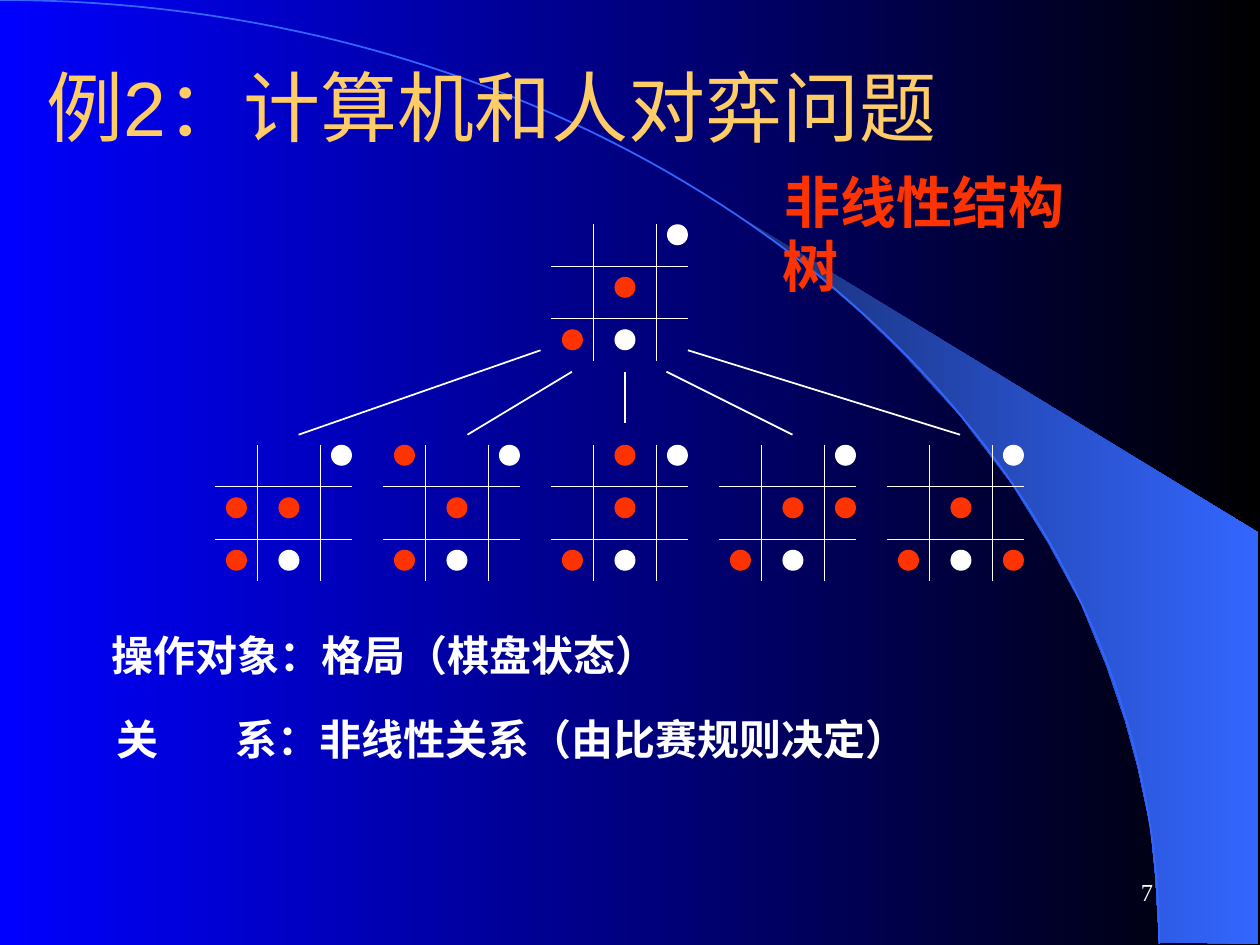
from lxml import etree
from pptx import Presentation
from pptx.dml.color import RGBColor
from pptx.enum import shapes, text
from pptx.oxml import ns
from pptx.util import Inches, Pt

WHITE = RGBColor(0xFF, 0xFF, 0xFF)
RED = RGBColor(0xFF, 0x33, 0x00)
GOLD = RGBColor(0xFF, 0xCC, 0x66)
BLUE = RGBColor(0x00, 0x00, 0xFF)
BLACK = RGBColor(0x00, 0x00, 0x00)
NAVY = RGBColor(0x18, 0x2F, 0x76)
SKY = RGBColor(0x33, 0x66, 0xFF)

CJK = "Noto Sans CJK SC"
SERIF = "Times New Roman"
UNIT = 1 / 12
BOARD_PITCH = 16 * UNIT
CHILD_LEFT, CHILD_TOP = 1.71, 3.53
ROOT_LEFT, ROOT_TOP = CHILD_LEFT + 2 * BOARD_PITCH, 1.78

START_PIECES = [(1, 1, RED), (0, 2, RED), (1, 2, WHITE), (2, 0, WHITE)]
NEXT_MOVES = [(0, 1), (0, 0), (1, 0), (2, 1), (2, 2)]
BRANCHES = [
    (4.29, 2.78, 2.37, 3.45),
    (4.54, 2.95, 3.71, 3.45),
    (4.96, 2.95, 4.96, 3.36),
    (5.29, 2.95, 6.29, 3.45),
    (5.46, 2.78, 7.62, 3.45),
]
BEAM = [
    (9.2, 7.48), (9.99, 7.49), (9.99, 4.23), (5.89, 1.73), (6.24, 1.99),
    (6.53, 2.22), (6.85, 2.5), (7.16, 2.8), (7.62, 3.3), (8.03, 3.84),
    (8.32, 4.31), (8.58, 4.79), (8.78, 5.28), (8.93, 5.72), (9.03, 6.09),
    (9.13, 6.56), (9.17, 6.96),
]
ARC_CONTROLS = [(0, 0), (5.08, 0), (9.2, 3.35), (9.2, 7.49)]
ARC_STEPS = 80


def set_gradient(fill, start, end):
    """Apply a left-to-right gradient."""
    fill.gradient()
    fill.gradient_angle = 0
    for stop, color, position in zip(fill.gradient_stops, (start, end), (0, 1)):
        stop.color.rgb = color
        stop.position = position


def add_outline(parent, points, close):
    """Build a shadowless freeform through points given in inches."""
    corners = [(Inches(x), Inches(y)) for x, y in points]
    builder = parent.build_freeform(*corners[0])
    builder.add_line_segments(corners[1:], close=close)
    outline = builder.convert_to_shape()
    outline.shadow.inherit = False
    return outline


def curve_point(t):
    """Return the point at t on the cubic arc."""
    weights = ((1 - t) ** 3, 3 * t * (1 - t) ** 2, 3 * t * t * (1 - t), t ** 3)
    return tuple(
        sum(w * control[axis] for w, control in zip(weights, ARC_CONTROLS))
        for axis in (0, 1)
    )


def add_backdrop(slide):
    """Draw the background gradient, the beam and the arc."""
    set_gradient(slide.background.fill, BLUE, BLACK)
    scenery = slide.shapes.add_group_shape().shapes
    beam = add_outline(scenery, BEAM, True)
    set_gradient(beam.fill, NAVY, SKY)
    beam.line.fill.background()
    arc_points = [curve_point(i / ARC_STEPS) for i in range(ARC_STEPS + 1)]
    arc = add_outline(scenery, arc_points, False)
    arc.fill.background()
    arc.line.color.rgb = SKY
    arc.line.width = Pt(1)


def add_line(parent, x1, y1, x2, y2, width):
    """Add a straight white line."""
    line = parent.add_connector(
        shapes.MSO_CONNECTOR.STRAIGHT, Inches(x1), Inches(y1), Inches(x2), Inches(y2)
    )
    line.line.color.rgb = WHITE
    line.line.width = Pt(width)
    etree.SubElement(line._element.spPr, ns.qn("a:effectLst"))


def add_piece(parent, x, y, color):
    """Add one round game piece."""
    size = Inches(2 * UNIT)
    piece = parent.add_shape(
        shapes.MSO_SHAPE.OVAL, Inches(x), Inches(y), size, size
    )
    piece.shadow.inherit = False
    piece.fill.solid()
    piece.fill.fore_color.rgb = color
    piece.line.fill.background()


def add_board(slide, left, top, pieces):
    """Add a three-by-three board with its pieces."""
    board = slide.shapes.add_group_shape().shapes
    side = 13 * UNIT
    for offset in (4, 9):
        y = top + offset * UNIT
        add_line(board, left, y, left + side, y, 0.75)
    for offset in (4, 10):
        x = left + offset * UNIT
        add_line(board, x, top, x, top + side, 0.75)
    for column, row, color in pieces:
        add_piece(board, left + (1 + 5 * column) * UNIT, top + 5 * row * UNIT, color)


def add_text(slide, box, wording, size, font, color, bold=False, wrap=False):
    """Add a one-line text box and return it."""
    label = slide.shapes.add_textbox(*map(Inches, box))
    frame = label.text_frame
    frame.word_wrap = wrap
    if wrap:
        frame.vertical_anchor = text.MSO_ANCHOR.MIDDLE
    else:
        frame.auto_size = text.MSO_AUTO_SIZE.SHAPE_TO_FIT_TEXT
    run = frame.paragraphs[0].add_run()
    run.text = wording
    run.font.size = Pt(size)
    run.font.name = font
    run.font.bold = bold
    run.font.color.rgb = color
    etree.SubElement(run.font._element, ns.qn("a:ea"), typeface=CJK)
    return label


def add_tab_stop(label, position):
    """Set a left tab stop on the label's paragraph."""
    properties = label.text_frame.paragraphs[0]._p.get_or_add_pPr()
    stops = etree.SubElement(properties, ns.qn("a:tabLst"))
    etree.SubElement(stops, ns.qn("a:tab"), pos=str(Inches(position)), algn="l")


def main():
    """Build the game tree slide."""
    deck = Presentation()
    deck.slide_width, deck.slide_height = Inches(10), Inches(7.5)
    slide = deck.slides.add_slide(deck.slide_layouts[6])
    add_backdrop(slide)

    page = add_text(slide, (7.17, 6.83, 2.08, 0.5), "7", 14, SERIF, WHITE, wrap=True)
    page.text_frame.paragraphs[0].alignment = text.PP_ALIGN.RIGHT
    add_text(slide, (0.27, 0.21, 8.5, 1.25), "例2：计算机和人对弈问题",
             44, "Arial", GOLD, wrap=True)

    add_board(slide, ROOT_LEFT, ROOT_TOP, START_PIECES)
    for index, move in enumerate(NEXT_MOVES):
        add_board(slide, CHILD_LEFT + index * BOARD_PITCH, CHILD_TOP,
                  START_PIECES + [(*move, RED)])
    for branch in BRANCHES:
        add_line(slide.shapes, *branch, 1)

    add_text(slide, (6.13, 1.28, 2.65, 0.64), "非线性结构", 32, CJK, RED, bold=True)
    add_text(slide, (6.11, 1.79, 0.86, 0.64), "树", 32, CJK, RED, bold=True)
    add_text(slide, (0.79, 4.95, 4.61, 0.5), "操作对象：格局（棋盘状态）",
             24, SERIF, WHITE, bold=True)
    relation = add_text(slide, (0.83, 5.61, 6.62, 0.5),
                        "关\t系：非线性关系（由比赛规则决定）", 24, SERIF, WHITE, bold=True)
    add_tab_stop(relation, 0.94)
    deck.save("out.pptx")


if __name__ == "__main__":
    main()
